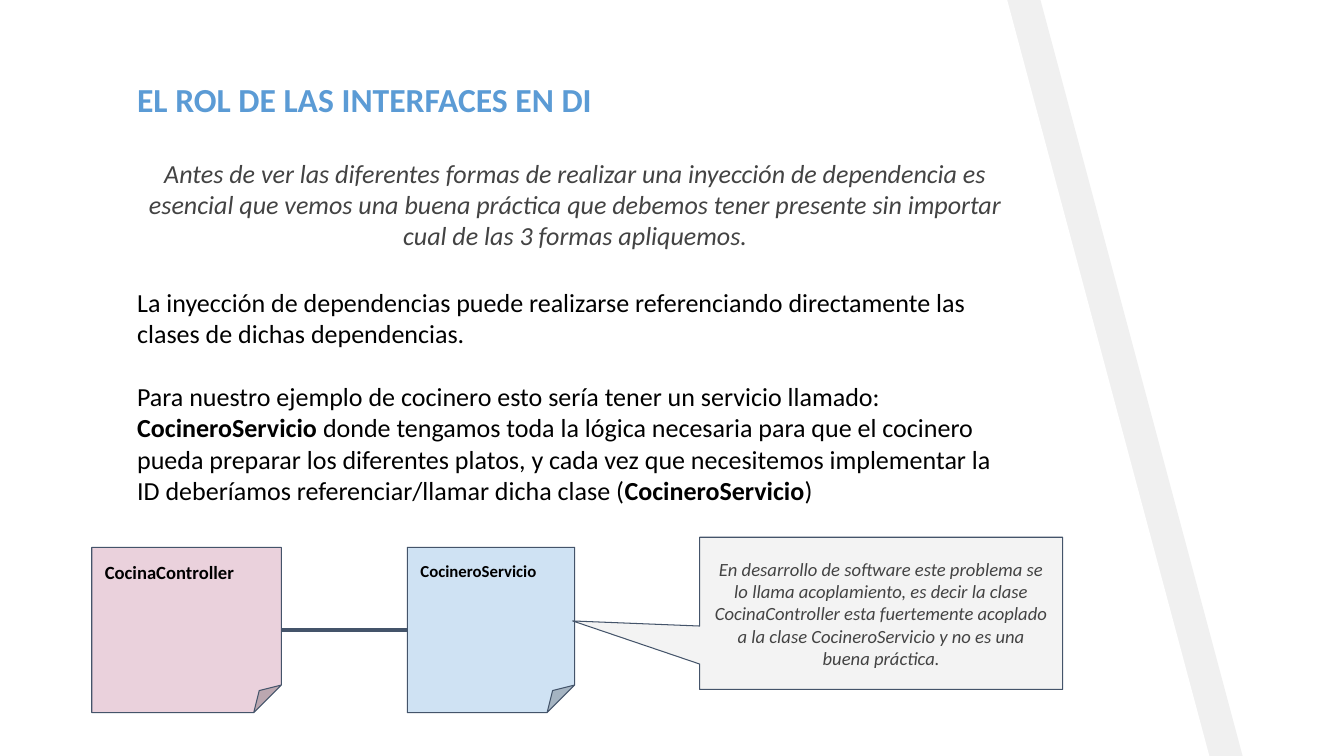
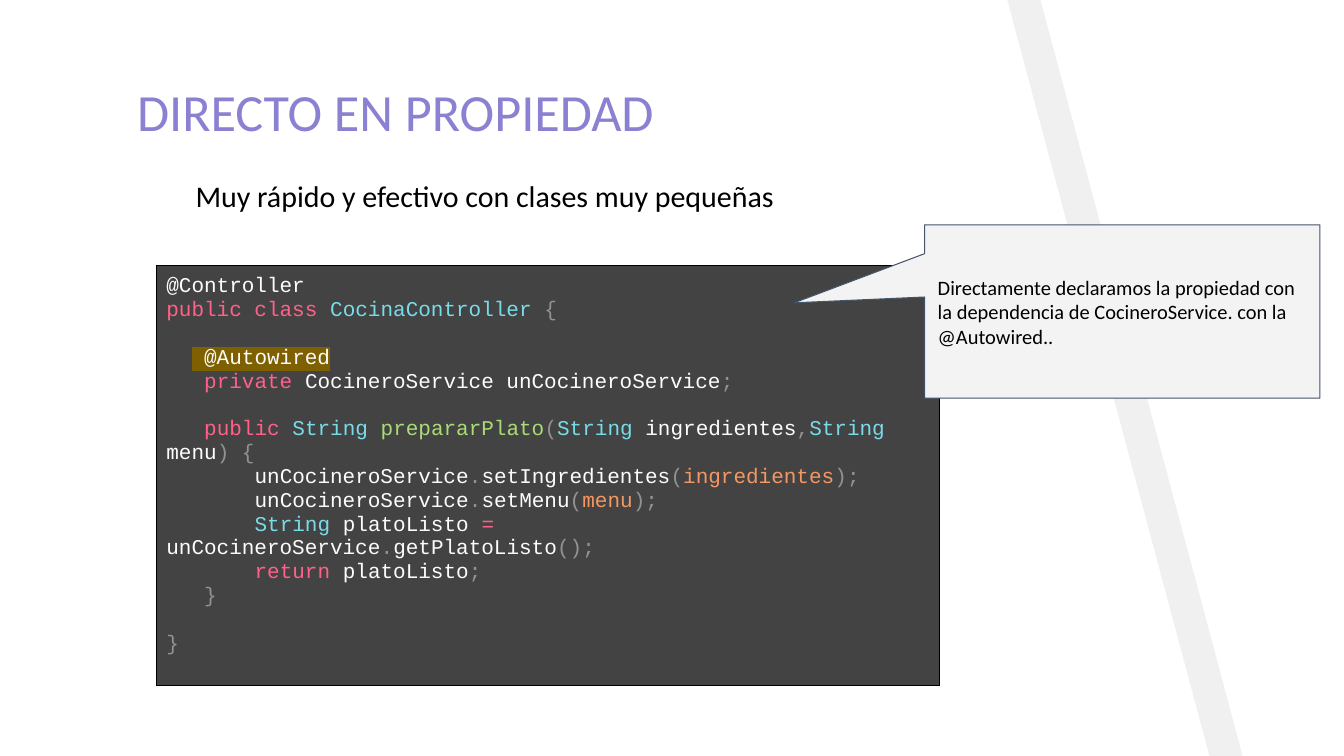
from lxml import etree
from pptx import Presentation
from pptx.dml.color import RGBColor
from pptx.enum.shapes import MSO_CONNECTOR, MSO_SHAPE
from pptx.enum.text import MSO_ANCHOR, PP_ALIGN
from pptx.oxml.ns import qn
from pptx.util import Inches, Pt

FOLDED, CALLOUT = MSO_SHAPE.FOLDED_CORNER, MSO_SHAPE.RECTANGULAR_CALLOUT
TOP, MIDDLE = MSO_ANCHOR.TOP, MSO_ANCHOR.MIDDLE
LEFT, CENTER = PP_ALIGN.LEFT, PP_ALIGN.CENTER

BLACK, WHITE, GREY, DARK, LIGHT = "000000", "FFFFFF", "F0F0F0", "434343", "F3F3F3"
BLUE, VIOLET, NAVY = "5B9BD5", "8B81D2", "44546A"
PINK_NOTE, BLUE_NOTE = "EAD1DC", "CFE2F3"
PLAIN, KEYWORD, TYPE, MARK = "FCFCFA", "FF6188", "78DCE8", "939293"
METHOD, ARGUMENT, HIGHLIGHT = "A9DC76", "F59762", "7F6000"
BODY_SIZE = 18.6
CODE_SIZE, CODE_CHAR, CODE_LINE = 15, 9, 17  # points

rgb = RGBColor.from_string


def dress(sp, inset_y, fill=None, anchor=TOP):
    """Set frame margins and anchor; a fill also brings the thin navy outline."""
    tf = sp.text_frame
    tf.word_wrap = True
    tf.vertical_anchor = anchor
    tf.margin_left = tf.margin_right = Inches(0.13)
    tf.margin_top = tf.margin_bottom = Inches(inset_y)
    if fill:
        sp.shadow.inherit = False
        sp.fill.solid()
        sp.fill.fore_color.rgb = rgb(fill)
        sp.line.color.rgb = rgb(NAVY)
        sp.line.width = Pt(0.75)
    return tf


def write(p, runs, size, align=LEFT, font="Calibri", italic=False):
    """Fill a paragraph with (text, colour, bold) runs."""
    p.alignment = align
    for text, color, bold in runs:
        r = p.add_run()
        r.text = text
        r.font.size, r.font.name = Pt(size), font
        r.font.bold, r.font.italic = bold, italic
        r.font.color.rgb = rgb(color)


prs = Presentation()
prs.slide_width, prs.slide_height = Inches(13.33), Inches(7.5)

# Every slide: a white panel over a grey one, shifted to leave a slanted band; a title
titles = [
    ("EL ROL DE LAS INTERFACES EN DI", BLUE, True, 24, 0.71, 9.99, 0.67),
    ("DIRECTO EN PROPIEDAD", VIOLET, False, 37.3, 0.72, 7.14, 0.98),
]
slides = []
for title, color, bold, size, top, width, height in titles:
    s = prs.slides.add_slide(prs.slide_layouts[6])
    s.background.fill.solid()
    s.background.fill.fore_color.rgb = rgb(WHITE)
    for left, fill in ((0.33, GREY), (0, WHITE)):
        outline = s.shapes.build_freeform(Inches(left), Inches(-0.02), scale=1.0)
        corners = [(0, 7.52), (12, 7.52), (9.99, 0)]
        outline.add_line_segments([(Inches(left + x), Inches(y)) for x, y in corners])
        panel = outline.convert_to_shape()
        panel.shadow.inherit = False
        panel.fill.solid()
        panel.fill.fore_color.rgb = rgb(fill)
        panel.line.fill.background()
    sp = s.shapes.add_textbox(Inches(1.23), Inches(top), Inches(width), Inches(height))
    write(dress(sp, 0.07).paragraphs[0], [(title, color, bold)], size)
    slides.append(s)

# Slide 1: interfaces
s = slides[0]
sp = s.shapes.add_textbox(Inches(1.23), Inches(1.49), Inches(8.95), Inches(3.72))
tf = dress(sp, 0.07)
write(tf.paragraphs[0], [(
    "Antes de ver las diferentes formas de realizar una inyección de dependencia es "
    "esencial que vemos una buena práctica que debemos tener presente sin importar "
    "cual de las 3 formas apliquemos.", DARK, False)], BODY_SIZE, CENTER, italic=True)
body = [
    (25.5, [("La inyección de dependencias puede realizarse referenciando directamente "
             "las clases de dichas dependencias.", BLACK, False)]),
    (22.5, [("Para nuestro ejemplo de cocinero esto sería tener un servicio llamado: ",
             BLACK, False),
            ("CocineroServicio ", BLACK, True),
            ("donde tengamos toda la lógica necesaria para que el cocinero pueda "
             "preparar los diferentes platos, y cada vez que necesitemos implementar "
             "la ID deberíamos referenciar/llamar dicha clase (", BLACK, False),
            ("CocineroServicio", BLACK, True),
            (")", BLACK, False)]),
]
for gap, runs in body:
    p = tf.add_paragraph()
    p.space_before = Pt(gap)
    write(p, runs, BODY_SIZE)

notes = [
    ("CocinaController", 0.91, 1.88, PINK_NOTE, 13.3),
    ("CocineroServicio", 4.04, 1.66, BLUE_NOTE, 12),
]
for name, left, width, fill, size in notes:
    sp = s.shapes.add_shape(FOLDED, Inches(left), Inches(5.43), Inches(width), Inches(1.64))
    write(dress(sp, 0.13, fill).paragraphs[0], [(name, BLACK, True)], size)

link = s.shapes.add_connector(MSO_CONNECTOR.STRAIGHT, Inches(2.8), Inches(6.25),
                              Inches(4.04), Inches(6.25))
link.line.color.rgb = rgb(NAVY)
link.line.width = Pt(3)
etree.SubElement(link._element.spPr, qn("a:effectLst"))

# Slide 2: injection on the property
s = slides[1]
sp = s.shapes.add_textbox(Inches(1.81), Inches(1.69), Inches(8.39), Inches(0.64))
write(dress(sp, 0.07).paragraphs[0],
      [("Muy rápido y efectivo con clases muy pequeñas", BLACK, False)], 21.4)

table = s.shapes.add_table(1, 1, Inches(1.55), Inches(2.63), Inches(7.77), Inches(4.17)).table
table.first_row = table.horz_banding = False
cell = table.cell(0, 0)
cell.margin_left = cell.margin_right = Inches(0.1)
cell.margin_top = cell.margin_bottom = Inches(0.1)
tcPr = cell._tc.get_or_add_tcPr()
for side in ("lnL", "lnR", "lnT", "lnB"):
    ln = etree.SubElement(tcPr, qn("a:" + side), w=str(Pt(0.75)))
    fill = etree.SubElement(ln, qn("a:solidFill"))
    etree.SubElement(fill, qn("a:srgbClr"), val=BLACK)
cell.fill.solid()
cell.fill.fore_color.rgb = rgb(DARK)

# Each line: blank lines above, indent in characters, coloured pieces
code = [
    (0, 0, [("@Controller", PLAIN)]),
    (0, 0, [("public class ", KEYWORD), ("CocinaController ", TYPE), ("{", MARK)]),
    (1, 2, [(" @Autowired", PLAIN)]),
    (0, 3, [("private ", KEYWORD), ("CocineroService unCocineroService", PLAIN), (";", MARK)]),
    (1, 3, [("public ", KEYWORD), ("String ", TYPE), ("prepararPlato", METHOD), ("(", MARK),
            ("String ", TYPE), ("ingredientes", PLAIN), (",", MARK), ("String ", TYPE),
            ("menu", PLAIN), (") {", MARK)]),
    (0, 7, [("unCocineroService", PLAIN), (".", MARK), ("setIngredientes", PLAIN),
            ("(", MARK), ("ingredientes", ARGUMENT), (");", MARK)]),
    (0, 7, [("unCocineroService", PLAIN), (".", MARK), ("setMenu", PLAIN),
            ("(", MARK), ("menu", ARGUMENT), (");", MARK)]),
    (0, 7, [("String ", TYPE), ("platoListo ", PLAIN), ("= ", KEYWORD),
            ("unCocineroService", PLAIN), (".", MARK), ("getPlatoListo", PLAIN),
            ("();", MARK)]),
    (0, 7, [("return ", KEYWORD), ("platoListo", PLAIN), (";", MARK)]),
    (0, 3, [("}", MARK)]),
    (1, 0, [("}", MARK)]),
]
tf = cell.text_frame
for i, (blanks, indent, pieces) in enumerate(code):
    p = tf.add_paragraph() if i else tf.paragraphs[0]
    p.space_before = Pt(blanks * CODE_LINE)
    pPr = p._p.get_or_add_pPr()
    pPr.set("marL", "0")
    pPr.set("indent", str(Pt(indent * CODE_CHAR)))
    write(p, [(text, color, False) for text, color in pieces], CODE_SIZE, font="Courier New")

annotation = tf.paragraphs[2].runs[0]
highlight = etree.Element(qn("a:highlight"))
etree.SubElement(highlight, qn("a:srgbClr"), val=HIGHLIGHT)
annotation._r.rPr.find(qn("a:solidFill")).addnext(highlight)

# Callouts on both slides
callouts = [
    (slides[0], (6.94, 5.33, 3.6, 1.51), (-0.85, 0.05), 13.3, DARK, CENTER, True,
     "En desarrollo de software este problema se lo llama acoplamiento, es decir la clase "
     "CocinaController esta fuertemente acoplado a la clase CocineroServicio y no es una "
     "buena práctica."),
    (slides[1], (9.17, 2.23, 3.92, 1.72), (-0.83, -0.05), 14.6, BLACK, LEFT, False,
     "Directamente declaramos la propiedad con la dependencia de CocineroService. con la "
     "@Autowired.."),
]
for s, place, tip, size, color, align, italic, text in callouts:
    sp = s.shapes.add_shape(CALLOUT, *[Inches(v) for v in place])
    sp.adjustments[0], sp.adjustments[1] = tip
    tf = dress(sp, 0.13, LIGHT, MIDDLE)
    write(tf.paragraphs[0], [(text, color, False)], size, align, italic=italic)

prs.save("out.pptx")
